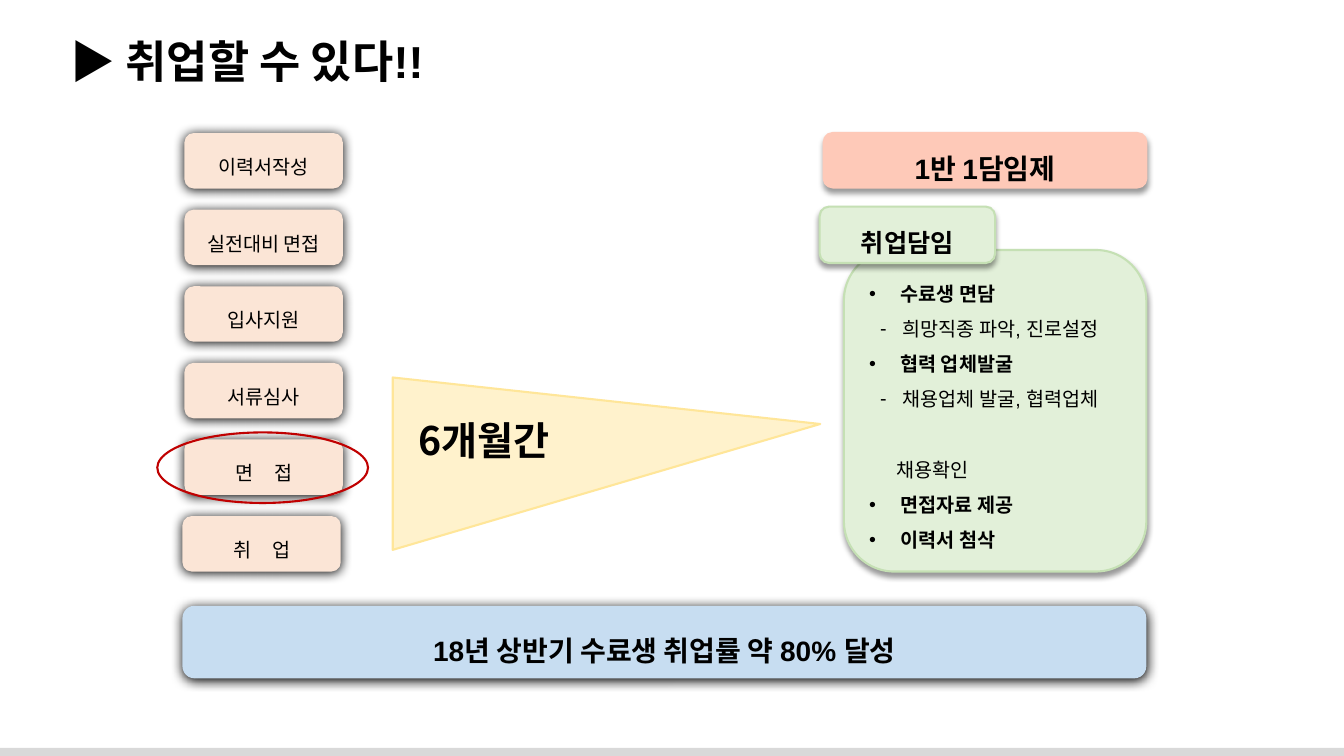
from lxml import etree
from pptx import Presentation, util as u
from pptx.dml.color import RGBColor
from pptx.enum import shapes, text
from pptx.oxml import ns

BLACK = RGBColor(0, 0, 0)
GREY = RGBColor(0xD9, 0xD9, 0xD9)
PEACH = RGBColor(0xFB, 0xE5, 0xD6)
CORAL = RGBColor(0xFE, 0xC9, 0xB8)
BLUE = RGBColor(0xC7, 0xDD, 0xF1)
GREEN = RGBColor(0xE2, 0xF0, 0xD9)
GREEN_EDGE = RGBColor(0xC5, 0xE0, 0xB4)
YELLOW = RGBColor(0xFF, 0xF2, 0xCC)
YELLOW_EDGE = RGBColor(0xFF, 0xE6, 0x99)
RED = RGBColor(0xC0, 0, 0)
KOREAN_FONT = "Noto Sans CJK KR"
ROUNDED = shapes.MSO_SHAPE.ROUNDED_RECTANGLE
# Shadow settings: opacity %, blur pt, distance pt
STRONG, SOFT = (100, 8.5, 1), (40, 4, 3)


def add_part(kind, box, fill=None, edge=None, shadow=None):
    """Add a preset shape with optional fill, outline and downward shadow."""
    part = slide.shapes.add_shape(kind, *map(u.Inches, box))
    part.shadow.inherit = False
    if fill is None:
        part.fill.background()
    else:
        part.fill.solid()
        part.fill.fore_color.rgb = fill
    if edge is None:
        part.line.fill.background()
    else:
        part.line.color.rgb = edge
        part.line.width = u.Pt(1.5)
    if shadow:
        opacity, blur, distance = shadow
        effects = part._element.spPr.find(ns.qn("a:effectLst"))
        outer = etree.SubElement(effects, ns.qn("a:outerShdw"), blurRad=str(u.Pt(blur)),
                                 dist=str(u.Pt(distance)), dir="5400000", rotWithShape="0")
        colour = etree.SubElement(outer, ns.qn("a:srgbClr"), val="000000")
        etree.SubElement(colour, ns.qn("a:alpha"), val=str(opacity * 1000))
    return part


def add_run(paragraph, words, size, bold=False, font="Arial"):
    """Add one black run with Latin and Korean fonts and return it."""
    run = paragraph.add_run()
    run.text = words
    run.font.size = u.Pt(size)
    run.font.bold = bold
    run.font.color.rgb = BLACK
    run.font.name = font
    etree.SubElement(run._r.get_or_add_rPr(), ns.qn("a:ea"), typeface=KOREAN_FONT)
    return run


deck = Presentation()
deck.slide_width, deck.slide_height = u.Inches(13.33), u.Inches(7.5)
slide = deck.slides.add_slide(deck.slide_layouts[1])
title, duties = slide.placeholders

# Title and bottom strip
add_part(shapes.MSO_SHAPE.RECTANGLE, (0, 7.42, 13.33, 0.08), GREY)
title.left, title.top, title.width, title.height = map(u.Inches, (0.6, 0.28, 12.6, 0.64))
title.text_frame.auto_size = text.MSO_AUTO_SIZE.NONE
title.text_frame.vertical_anchor = text.MSO_ANCHOR.TOP
heading = title.text_frame.paragraphs[0]
heading.alignment = text.PP_ALIGN.LEFT
add_run(heading, "▶ 취업할 수 있다!!", 32, True)

# Duties of the job mentor: panel with the list on top
panel_box = (8.37, 2.48, 3, 3.19)
add_part(ROUNDED, panel_box, GREEN, GREEN_EDGE, SOFT)
slide.shapes._spTree.append(duties._element)
duties.left, duties.top, duties.width, duties.height = map(u.Inches, panel_box)
duty_frame = duties.text_frame
duty_frame.auto_size = text.MSO_AUTO_SIZE.NONE
duty_frame.vertical_anchor = text.MSO_ANCHOR.MIDDLE
duty_frame.margin_left = u.Inches(0.25)
# Left margin and hanging indent for each kind of line
INDENTS = {"•": (0.31, -0.31), "-": (0.33, -0.22), "": (0.27, 0)}
duty_lines = [
    ("•", "수료생 면담"),
    ("-", "희망직종 파악, 진로설정"),
    ("•", "협력 업체발굴"),
    ("-", "채용업체 발굴, 협력업체"),
    ("", "채용확인"),
    ("•", "면접자료 제공"),
    ("•", "이력서 첨삭"),
]
for number, (mark, words) in enumerate(duty_lines):
    line = duty_frame.add_paragraph() if number else duty_frame.paragraphs[0]
    line.line_spacing = 1.5
    line.space_before = u.Pt(0 if mark else 25)
    properties = line._p.get_or_add_pPr()
    margin, hanging = INDENTS[mark]
    properties.set("marL", str(u.Inches(margin)))
    properties.set("indent", str(u.Inches(hanging)))
    if mark:
        etree.SubElement(properties, ns.qn("a:buFont"), typeface="Arial")
        etree.SubElement(properties, ns.qn("a:buChar"), char=mark)
    else:
        etree.SubElement(properties, ns.qn("a:buNone"))
    add_run(line, words, 14, mark == "•")

# Labelled boxes: the six steps, then the mentor headings and the result
steps = ["이력서작성", "실전대비 면접", "입사지원", "서류심사", "면 접", "취 업"]
labels = [
    (words, (1.81 if words == "취 업" else 1.83, 1.32 + 0.76 * row, 1.57, 0.55),
     PEACH, None, STRONG, 14)
    for row, words in enumerate(steps)
]
labels += [
    ("1반 1담임제", (8.17, 1.32, 3.2, 0.54), CORAL, CORAL, SOFT, 20),
    ("18년 상반기 수료생 취업률 약 80% 달성", (1.81, 6.01, 9.56, 0.72), BLUE, None, STRONG, 20),
    ("취업담임", (8.13, 2.05, 1.74, 0.56), GREEN, GREEN_EDGE, SOFT, 18),
]
for words, box, fill, edge, shadow, size in labels:
    label = add_part(ROUNDED, box, fill, edge, shadow)
    label.text_frame.vertical_anchor = text.MSO_ANCHOR.MIDDLE
    caption = label.text_frame.paragraphs[0]
    caption.alignment = text.PP_ALIGN.CENTER
    caption.line_spacing = 1.5
    if len(words) == 3:  # two syllables set wide apart
        spread = add_run(caption, words[:2], size)
        spread._r.get_or_add_rPr().set("spc", "590")
        words = words[2:]
    add_run(caption, words, size, size > 14)

# Six-month wedge pointing at the mentor panel
wedge = add_part(shapes.MSO_SHAPE.ISOSCELES_TRIANGLE, (5.16, 2.48, 1.71, 4.24), YELLOW, YELLOW_EDGE)
wedge.adjustments[0] = 0.27
wedge.rotation = 90
period = slide.shapes.add_textbox(*map(u.Inches, (4.05, 4.08, 1.69, 0.57)))
period.text_frame.word_wrap = True
add_run(period.text_frame.paragraphs[0], "6개월간", 28, True, KOREAN_FONT)

# Ring around the interview step
add_part(shapes.MSO_SHAPE.OVAL, (1.56, 4.29, 2.09, 0.7), edge=RED)

deck.save("out.pptx")
